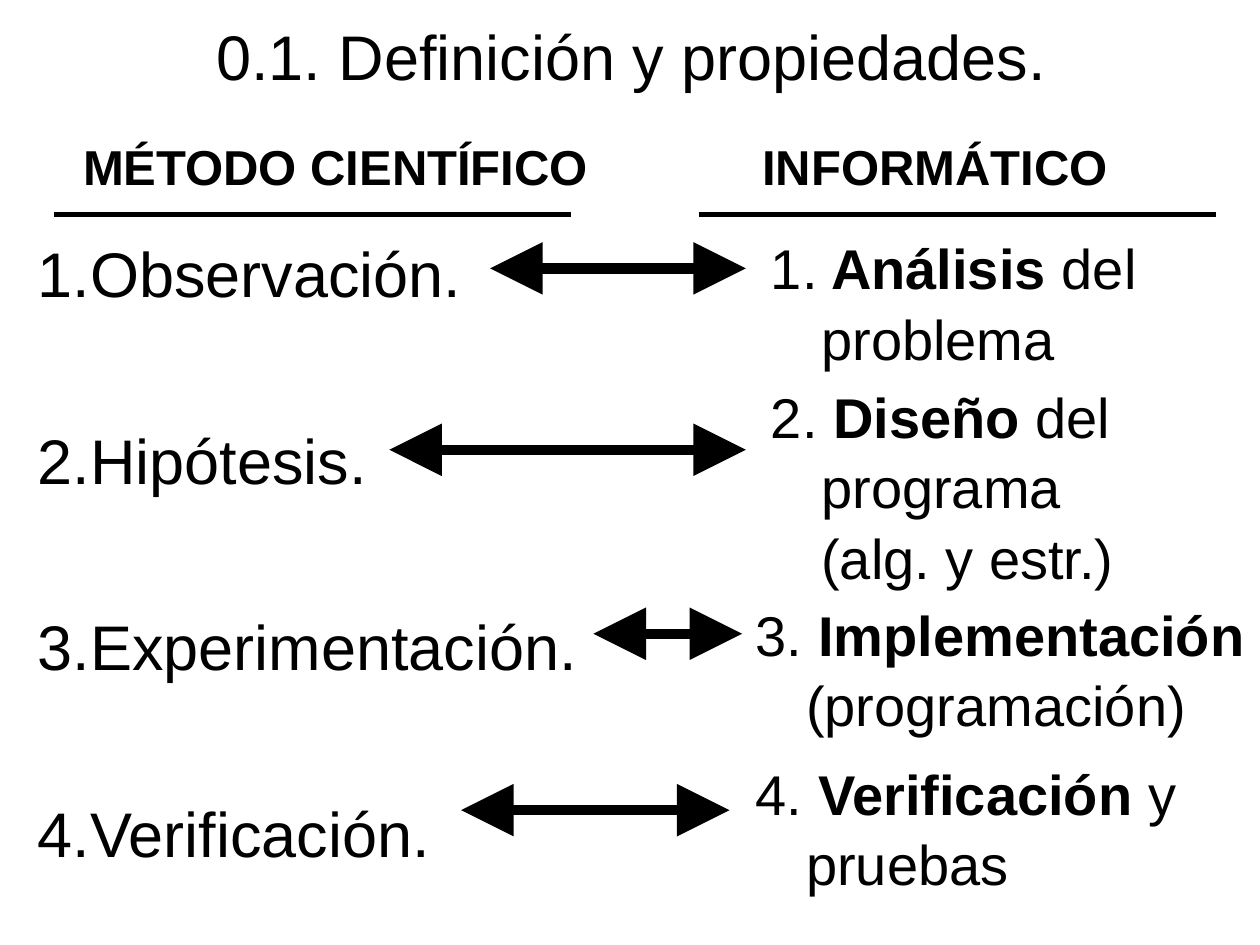
from lxml.etree import SubElement as Sub
from pptx import Presentation
from pptx.dml.color import RGBColor as Rgb
from pptx.enum.shapes import MSO_CONNECTOR as Conn
from pptx.enum.text import MSO_ANCHOR as Anchor, MSO_AUTO_SIZE as Auto, PP_ALIGN as Align
from pptx.oxml.ns import qn
from pptx.util import Emu, Inches, Pt

# Grid of 100 columns by 75 rows
COLS, ROWS = 100, 75
WIDE, HIGH = Inches(10), Inches(7.5)
INK, FACE = "000000", "Arial"
HANG = Inches(0.4)

STEPS = ["Observación.", "Hipótesis.", "Experimentación.", "Verificación."]
# Box of each stage, then its runs as (text, bold)
STAGES = [
    ((60.2, 17.8, 32.3, 11.7), [("1.", False), (" Análisis ", True), ("del problema", False)]),
    ((60.2, 29.6, 32.3, 17), [("2. ", False), ("Diseño", True), (" del programa (alg. y estr.)", False)]),
    ((59, 46.9, 41, 11.7), [("3. ", False), ("Implementación", True), (" (programación)", False)]),
    ((59, 59.5, 41, 11.7), [("4. ", False), ("Verificación", True), (" y pruebas", False)]),
]
# Left column, right column and row of each link
LINKS = [(38.9, 59.2, 21.3), (30.9, 59.2, 35.7), (47.1, 58.9, 50.3), (36.6, 57.9, 64.3)]
RULES = [(4.3, 45.3, 17), (55.5, 96.5, 17)]


def hue(code):
    return Rgb.from_string(code)


def col(n):
    return Emu(round(n * WIDE / COLS))


def row(n):
    return Emu(round(n * HIGH / ROWS))


def place(box):
    x, y, w, h = box
    return col(x), row(y), col(w), row(h)


def add_runs(para, runs, size):
    para.line_spacing = 1.05
    for text, bold in runs:
        run = para.add_run()
        run.text = text
        font = run.font
        font.name, font.size, font.bold = FACE, Pt(size), bold
        font.color.rgb = hue(INK)


def hang(para):
    props = para._p.get_or_add_pPr()
    props.set("marL", str(HANG))
    props.set("indent", str(-HANG))
    return props


def add_box(slide, box):
    frame = slide.shapes.add_textbox(*place(box)).text_frame
    frame.word_wrap = True
    return frame


def add_title(slide, box, text):
    title = slide.shapes.title
    title.left, title.top, title.width, title.height = place(box)
    frame = title.text_frame
    frame.auto_size = Auto.NONE
    frame.vertical_anchor = Anchor.MIDDLE
    frame.paragraphs[0].alignment = Align.CENTER
    add_runs(frame.paragraphs[0], [(text, False)], 36)


def add_heads(slide, box, left, right):
    """Two column heads on one line, the second at a tab stop."""
    frame = add_box(slide, box)
    frame.margin_left = col(6.6)
    para = frame.paragraphs[0]
    tabs = Sub(para._p.get_or_add_pPr(), qn("a:tabLst"))
    Sub(tabs, qn("a:tab"), pos=str(col(53.9)), algn="l")
    add_runs(para, [(f"{left}\t{right}", True)], 28)


def add_steps(slide, box, steps):
    """Numbered list on the left."""
    frame = add_box(slide, box)
    for i, step in enumerate(steps):
        para = frame.add_paragraph() if i else frame.paragraphs[0]
        if i:
            para.space_before = Pt(61.4)
        Sub(hang(para), qn("a:buAutoNum"), type="arabicPeriod")
        add_runs(para, [(step, False)], 36)


def add_stage(slide, box, runs):
    frame = add_box(slide, box)
    frame.auto_size = Auto.SHAPE_TO_FIT_TEXT
    hang(frame.paragraphs[0])
    add_runs(frame.paragraphs[0], runs, 32)


def add_line(slide, span, width, heads=False):
    x1, x2, y = span
    link = slide.shapes.add_connector(Conn.STRAIGHT, col(x1), row(y), col(x2), row(y))
    link.line.color.rgb = hue(INK)
    link.line.width = Pt(width)
    if heads:
        for end in ("headEnd", "tailEnd"):
            Sub(link.line._get_or_add_ln(), qn(f"a:{end}"), type="triangle", w="lg", len="lg")
    Sub(link._element.spPr, qn("a:effectLst"))


def main():
    deck = Presentation()
    deck.slide_width, deck.slide_height = WIDE, HIGH
    slide = deck.slides.add_slide(deck.slide_layouts[5])

    # Title and column heads
    add_title(slide, (5.1, 0, 90, 8.4), "0.1. Definición y propiedades.")
    add_heads(slide, (0, 10.1, 94.5, 9.5), "MÉTODO CIENTÍFICO", "INFORMÁTICO")
    for span in RULES:
        add_line(slide, span, 3)

    # Steps, their stages and the links between them
    add_steps(slide, (2, 17.8, 48.8, 52), STEPS)
    for (box, runs), span in zip(STAGES, LINKS):
        add_line(slide, span, 6, heads=True)
        add_stage(slide, box, runs)

    deck.save("out.pptx")


if __name__ == "__main__":
    main()
